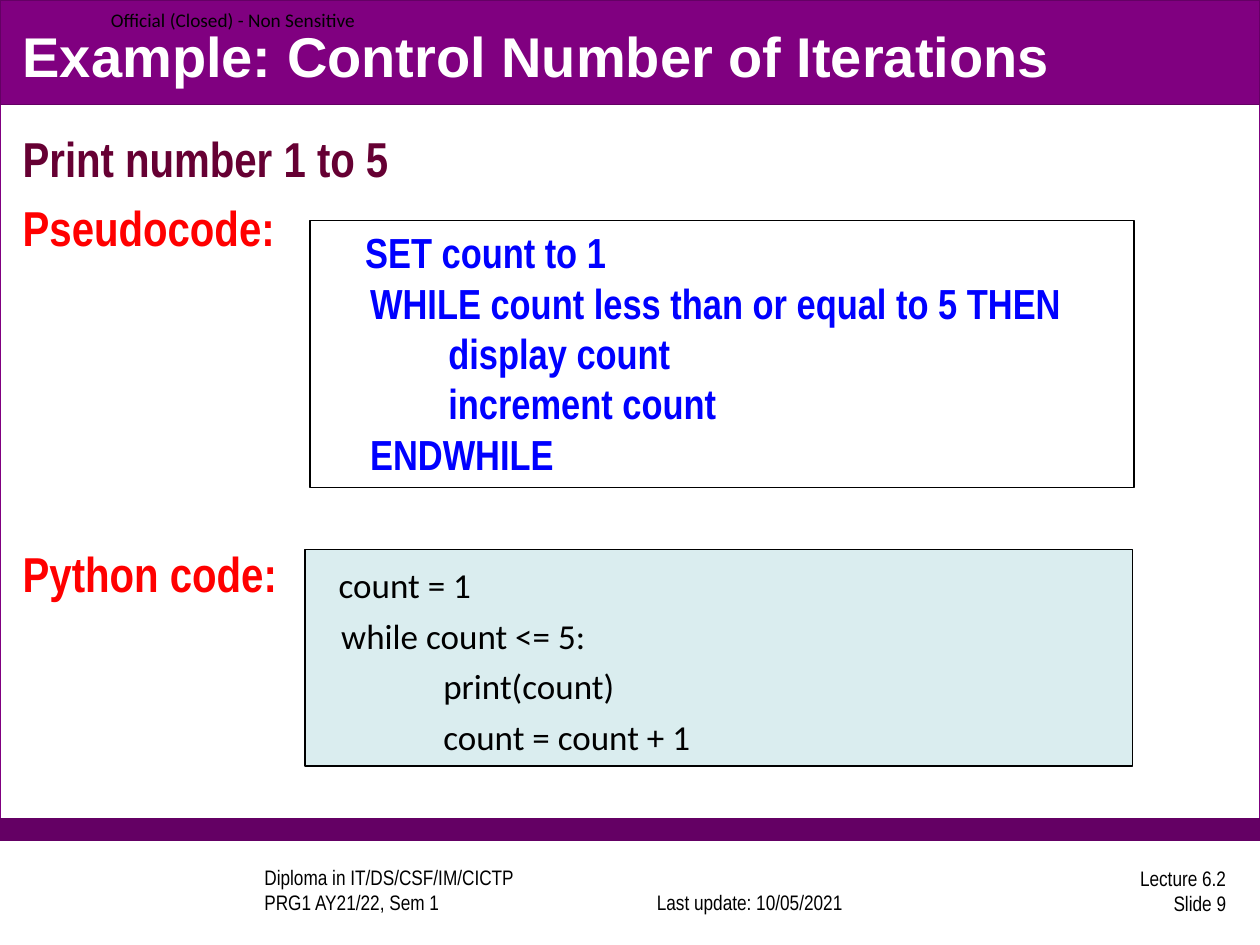
from lxml.etree import SubElement
from pptx import Presentation
from pptx.dml.color import RGBColor
from pptx.enum.shapes import MSO_SHAPE
from pptx.enum.text import MSO_ANCHOR, MSO_AUTO_SIZE, PP_ALIGN
from pptx.oxml.ns import qn
from pptx.util import Inches, Pt

HUES = {
    "white": "FFFFFF", "black": "000000", "purple": "800080", "plum": "640064",
    "wine": "660033", "red": "FF0000", "blue": "0000FF", "mint": "DAEDEF",
}
LEFT, MID, RIGHT = PP_ALIGN.LEFT, PP_ALIGN.CENTER, PP_ALIGN.RIGHT
TOP, CENTER, BOTTOM = MSO_ANCHOR.TOP, MSO_ANCHOR.MIDDLE, MSO_ANCHOR.BOTTOM

TITLE = "Example: Control Number of Iterations"
HEADS = [
    ("Print number 1 to 5", {"hue": "wine"}),
    ("Pseudocode:", {"before": 5.6}),
    ("Python code:", {"before": 164}),
]
PSEUDO = [
    ("SET count to 1", {"indent": 0.34}),
    ("WHILE count less than or equal to 5 THEN", {"indent": 0.38}),
    ("display count", {"indent": 1}),
    ("increment count", {"indent": 1}),
    ("ENDWHILE", {"indent": 0.38}),
]
CODE = [
    ("count = 1", {"indent": 0.17}),
    ("while count <= 5:", {"indent": 0.19}),
    ("print(count)", {"indent": 1}),
    ("count = count + 1", {"indent": 1}),
]
BARS = [
    ((0, 0, 10, 6.67), "white", "purple"),
    ((0, 6.5, 10, 0.17), "plum", "plum"),
    ((0, 0, 10, 0.83), "purple", "plum"),
]
FOOT = [
    ((1.5, 6.89, 3.17, 0.42), "Diploma in IT/DS/CSF/IM/CICTP\nPRG1 AY21/22, Sem 1",
     {"indent": 0.5, "anchor": BOTTOM}),
    ((4.91, 6.89, 2.08, 0.42), "Last update: 10/05/2021",
     {"align": MID, "anchor": BOTTOM}),
    ((7.75, 6.86, 2.08, 0.42), "Lecture 6.2\nSlide 9",
     {"align": RIGHT, "anchor": CENTER}),
]
LABEL = "Official (Closed) - Non Sensitive"


def color(name):
    return RGBColor.from_string(HUES[name])


def style(par, text, font="Arial Narrow", size=12, hue="black", bold=False,
          align=LEFT, indent=0, before=0, pitch=None):
    par.text = text
    props = par._p.get_or_add_pPr()
    props.set("marL", str(Inches(indent)))
    props.set("indent", "0")
    SubElement(props, qn("a:buNone"))
    par.alignment = align
    par.space_before = Pt(before)
    if pitch:
        par.line_spacing = pitch
    for run in par.runs:
        run.font.name = font
        run.font.size = Pt(size)
        run.font.bold = bold
        run.font.color.rgb = color(hue)


def write(shape, text, anchor=TOP, inset=None, **form):
    frame = shape.text_frame
    frame.word_wrap = True
    frame.auto_size = MSO_AUTO_SIZE.NONE
    frame.vertical_anchor = anchor
    if inset is not None:
        frame.margin_left = frame.margin_right = Inches(inset)
        frame.margin_top = frame.margin_bottom = Inches(inset)
    lines = [(text, {})] if isinstance(text, str) else text
    for i, (line, extra) in enumerate(lines):
        par = frame.add_paragraph() if i else frame.paragraphs[0]
        style(par, line, **{**form, **extra})


def place(shape, box):
    shape.left, shape.top, shape.width, shape.height = map(Inches, box)


def panel(shapes, box, fill, edge):
    shape = shapes.add_shape(MSO_SHAPE.RECTANGLE, *map(Inches, box))
    shape.shadow.inherit = False
    shape.fill.solid()
    shape.fill.fore_color.rgb = color(fill)
    shape.line.color.rgb = color(edge)
    shape.line.width = Pt(0.75)
    return shape


def main():
    deck = Presentation()
    deck.slide_width, deck.slide_height = Inches(10), Inches(7.5)
    slide = deck.slides.add_slide(deck.slide_layouts[1])
    shapes = slide.shapes
    title, body = shapes.title, slide.placeholders[1]

    for bar in BARS:
        panel(shapes, *bar)
    for box, text, form in FOOT:
        write(shapes.add_textbox(*map(Inches, box)), text, **form)
    label = shapes.add_textbox(*map(Inches, (0.88, 0, 2.13, 0.31)))
    write(label, LABEL, font="Calibri", size=11, anchor=CENTER, inset=0)

    place(title, (0.08, 0.13, 9.83, 0.62))
    write(title, TITLE, font="Arial", size=32, hue="white", bold=True, anchor=CENTER)
    place(body, (0.08, 0.97, 9.83, 5.45))
    write(body, HEADS, size=28, hue="red", bold=True)
    for item in (title, body):
        shapes._spTree.append(item._element)

    code = panel(shapes, (2.42, 4.36, 6.57, 1.72), "mint", "black")
    write(code, CODE, font="Calibri", size=20, pitch=1.2)
    pseudo = panel(shapes, (2.46, 1.75, 6.54, 2.12), "white", "black")
    write(pseudo, PSEUDO, size=24, hue="blue", bold=True)
    deck.save("out.pptx")


if __name__ == "__main__":
    main()
